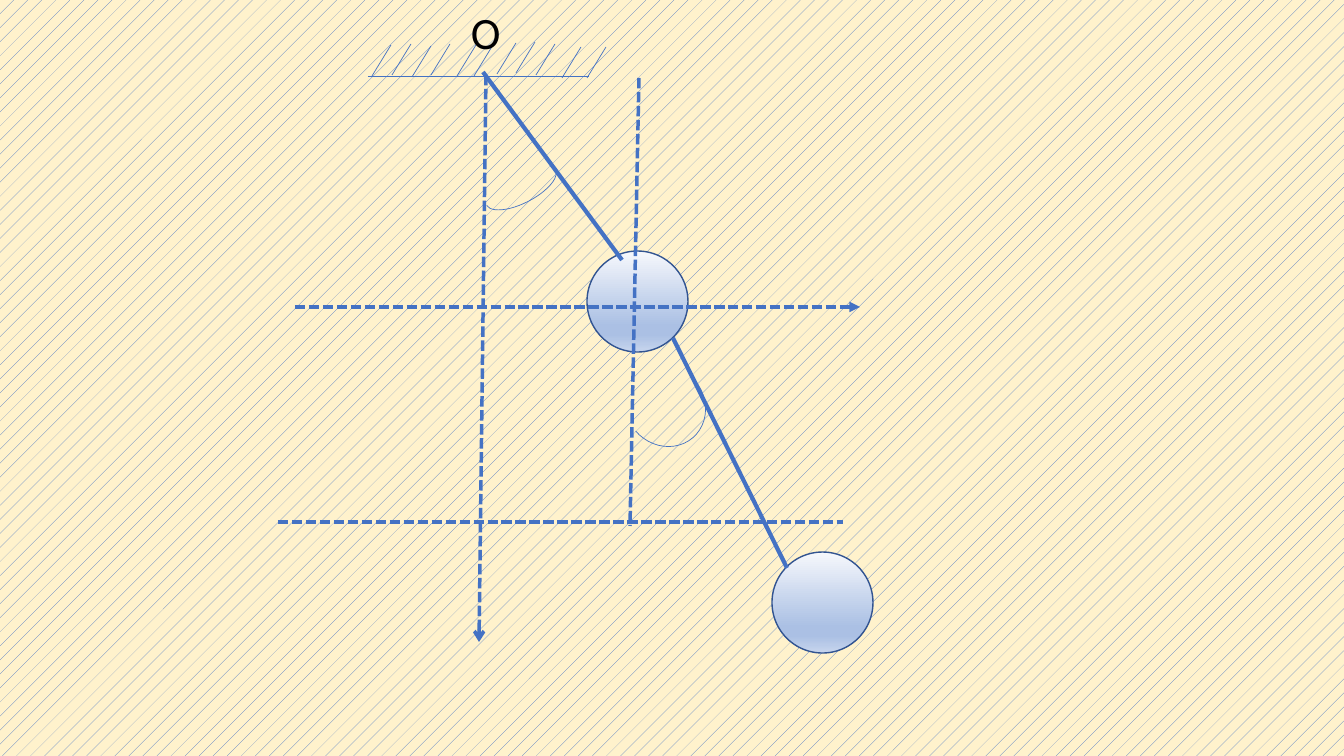
from copy import deepcopy

from lxml.etree import SubElement
from pptx import Presentation
from pptx.dml.color import RGBColor
from pptx.enum.dml import MSO_LINE, MSO_PATTERN
from pptx.enum.shapes import MSO_CONNECTOR, MSO_SHAPE
from pptx.enum.text import MSO_AUTO_SIZE
from pptx.oxml.ns import qn
from pptx.util import Pt

BLUE = RGBColor(0x44, 0x72, 0xC4)
NAVY = RGBColor(0x32, 0x54, 0x91)
CREAM = RGBColor(0xFF, 0xF2, 0xCC)
BLACK = RGBColor(0, 0, 0)
PALE = RGBColor(0xF6, 0xF8, 0xFC)
MID = RGBColor(0xAB, 0xC0, 0xE4)
SOFT = RGBColor(0xC7, 0xD5, 0xED)

SCALE = 914400 / 100.8  # EMU in one px
WIDE, HIGH = 1344, 756
THIN, DASHED, THICK = 0.5, 2.5, 3

BALL = 101
BALLS = [(587, 251), (772, 552)]
SHADES = [(0, PALE), (0.74, MID), (0.83, MID), (1, SOFT)]
CEILING = (368, 76, 589, 76)
RUN, RISE = 19, 31
HATCH = [(372, 76), (392, 75), (412, 77), (431, 75), (457, 76), (474, 76),
         (497, 74), (516, 73), (536, 75), (562, 78), (587, 78)]
RODS = [(483, 72, 622, 260), (673, 338, 787, 568)]
AXES = [((486, 75, 479, 642), "arrow"), ((639, 78, 630, 526), None),
        ((295, 307, 860, 307), "triangle"), ((278, 522, 843, 522), None)]
PIVOT = ("O", (461, 0, 59, 65))
ARCS = [((626, 363, 78, 85), 139.1, (109.39, 0)),
        ((482, 171, 78, 32), 152.7, (109.39, 215.53))]


def emu(*sizes):
    return [round(size * SCALE) for size in sizes]


def add_line(shapes, ends, width, dash=None, tip=None):
    line = shapes.add_connector(MSO_CONNECTOR.STRAIGHT, *emu(*ends))
    line.line.color.rgb = BLUE
    line.line.width = Pt(width)
    if dash:
        line.line.dash_style = dash
    if tip:
        SubElement(line.line._get_or_add_ln(), qn("a:tailEnd"), type=tip)
    SubElement(line._element.spPr, qn("a:effectLst"))


def add_ball(shapes, left, top):
    ball = shapes.add_shape(MSO_SHAPE.OVAL, *emu(left, top, BALL, BALL))
    ball.shadow.inherit = False
    ball.line.color.rgb = NAVY
    ball.line.width = Pt(1)
    ball.fill.gradient()
    ball.fill.gradient_angle = 270
    stops = next(ball._element.spPr.iter(qn("a:gsLst")))
    while len(stops) < len(SHADES):
        stops.append(deepcopy(stops[0]))
    for stop, (place, shade) in zip(ball.fill.gradient_stops, SHADES):
        stop.position = place
        stop.color.rgb = shade


def add_arc(shapes, box, turn, ends):
    arc = shapes.add_shape(MSO_SHAPE.ARC, *emu(*box))
    arc.shadow.inherit = False
    arc.rotation = turn
    arc.adjustments[0], arc.adjustments[1] = ends
    arc.fill.background()
    arc.line.color.rgb = BLUE
    arc.line.width = Pt(THIN)


def add_label(shapes, text, box):
    frame = shapes.add_textbox(*emu(*box)).text_frame
    frame.word_wrap = True
    frame.auto_size = MSO_AUTO_SIZE.SHAPE_TO_FIT_TEXT
    frame.text = text
    font = frame.paragraphs[0].runs[0].font
    font.name = "Calibri"
    font.size = Pt(32)
    font.color.rgb = BLACK


def main():
    deck = Presentation()
    deck.slide_width, deck.slide_height = emu(WIDE, HIGH)
    slide = deck.slides.add_slide(deck.slide_layouts[6])
    back = slide.background.fill
    back.patterned()
    back.pattern = MSO_PATTERN.PERCENT_5
    back.fore_color.rgb = BLUE
    back.back_color.rgb = CREAM

    shapes = slide.shapes
    for spot in BALLS:
        add_ball(shapes, *spot)
    add_line(shapes, CEILING, THIN)
    for x, y in HATCH:
        add_line(shapes, (x, y, x + RUN, y - RISE), THIN)
    for rod in RODS:
        add_line(shapes, rod, THICK)
    for ends, tip in AXES:
        add_line(shapes, ends, DASHED, MSO_LINE.SQUARE_DOT, tip)
    add_label(shapes, *PIVOT)
    for arc in ARCS:
        add_arc(shapes, *arc)
    deck.save("out.pptx")


if __name__ == "__main__":
    main()
